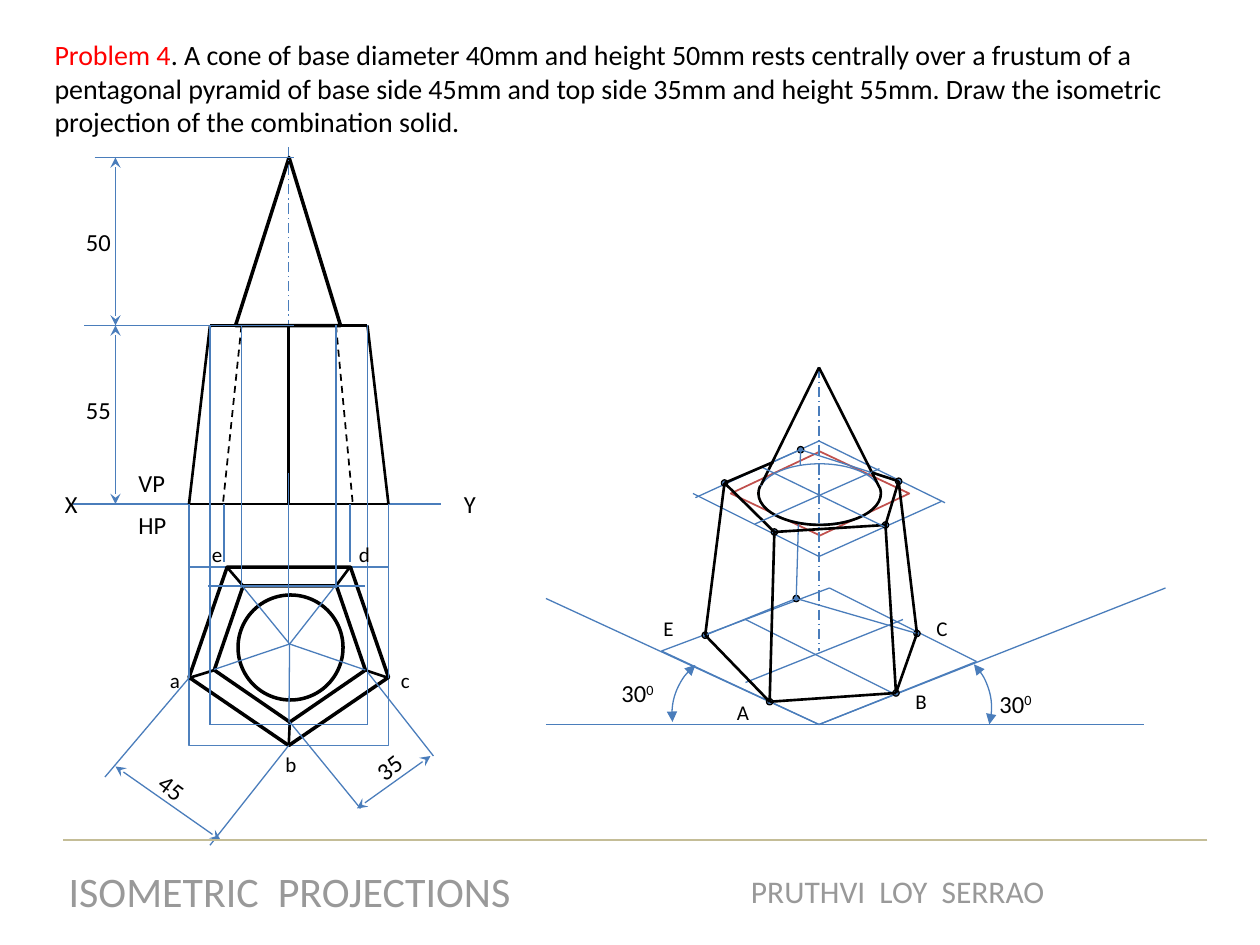
from lxml import etree
from pptx import Presentation
from pptx.dml.color import RGBColor
from pptx.enum.dml import MSO_LINE
from pptx.enum.shapes import MSO_CONNECTOR, MSO_SHAPE
from pptx.enum.text import MSO_ANCHOR, MSO_AUTO_SIZE, PP_ALIGN
from pptx.oxml.ns import qn
from pptx.util import Pt

BLACK = RGBColor(0x00, 0x00, 0x00)
WHITE = RGBColor(0xFF, 0xFF, 0xFF)
BLUE = RGBColor(0x4A, 0x7D, 0xBB)
DOT_BLUE = RGBColor(0x4F, 0x81, 0xBD)
RED = RGBColor(0xFF, 0x00, 0x00)
BRICK = RGBColor(0xC0, 0x50, 0x4D)
TAN = RGBColor(0xC4, 0xBD, 0x97)
GREY = RGBColor(0x99, 0x99, 0x99)

FONT = "Calibri"
CHAIN = MSO_LINE.LONG_DASH_DOT
DASH = MSO_LINE.DASH
STRAIGHT = MSO_CONNECTOR.STRAIGHT
ARC, DIAMOND, OVAL = MSO_SHAPE.ARC, MSO_SHAPE.DIAMOND, MSO_SHAPE.OVAL
CONE, RECT = MSO_SHAPE.ISOSCELES_TRIANGLE, MSO_SHAPE.RECTANGLE
PENTAGON = MSO_SHAPE.REGULAR_PENTAGON
LEFT, CENTER = PP_ALIGN.LEFT, PP_ALIGN.CENTER
TOP, NO_FIT = MSO_ANCHOR.TOP, MSO_AUTO_SIZE.NONE


def add_tips(item, kind):
    ln = item.line._get_or_add_ln()
    for end in ("a:headEnd", "a:tailEnd"):
        etree.SubElement(ln, qn(end), type=kind)


class Pen:
    """Draws in points, measured from the corner of a region."""

    def __init__(self, slide, x, y):
        self.shapes, self.x, self.y = slide.shapes, x, y

    def at(self, x, y):
        return Pt(self.x + x), Pt(self.y + y)

    def lines(self, *ends, color=BLUE, width=0.75, dash=None, tip=None):
        """Draw one line for each pair of points."""
        for start, stop in ends:
            item = self.shapes.add_connector(STRAIGHT, *self.at(*start), *self.at(*stop))
            item.line.color.rgb = color
            item.line.width = Pt(width)
            if dash:
                item.line.dash_style = dash
            if tip:
                add_tips(item, tip)
            etree.SubElement(item._element.spPr, qn("a:effectLst"))

    def edges(self, *ends):
        self.lines(*ends, color=BLACK, width=1.5)

    def shape(self, kind, x, y, w, h, color=BLACK, width=2, fill=WHITE, turn=0, adj=()):
        item = self.shapes.add_shape(kind, *self.at(x, y), Pt(w), Pt(h))
        item.shadow.inherit = False
        item.rotation = turn
        for i, value in enumerate(adj):
            item.adjustments[i] = value
        if fill is None:
            item.fill.background()
        else:
            item.fill.solid()
            item.fill.fore_color.rgb = fill
        item.line.color.rgb = color
        item.line.width = Pt(width)
        return item

    def text(self, text, x, y, w, h=24, size=14, color=BLACK, turn=0, align=LEFT):
        box = self.shapes.add_textbox(*self.at(x, y), Pt(w), Pt(h))
        box.rotation = turn
        box.text_frame.word_wrap = False
        para = box.text_frame.paragraphs[0]
        para.text = text
        para.alignment = align
        font = para.font
        font.name, font.size, font.color.rgb = FONT, Pt(size), color
        return para

    def names(self, spots):
        """Label the corners of a solid."""
        for name, (x, y) in spots.items():
            self.text(name, x, y, 20.5, 21.6, 12)


def set_title(slide, x, y, w, h):
    title = slide.shapes.title
    title.left, title.top, title.width, title.height = Pt(x), Pt(y), Pt(w), Pt(h)
    frame = title.text_frame
    frame.word_wrap, frame.auto_size = True, NO_FIT
    frame.vertical_anchor = TOP
    para = frame.paragraphs[0]
    para.alignment = LEFT
    para.font.name, para.font.size = FONT, Pt(16)
    for text, color in (
        ("Problem 4", RED),
        (". A cone of base diameter 40mm and height 50mm rests centrally over a "
         "frustum of a pentagonal pyramid of base side 45mm and top side 35mm and "
         "height 55mm. Draw the isometric projection of the combination solid.", BLACK),
    ):
        run = para.add_run()
        run.text = text
        run.font.color.rgb = color


def draw_front(slide, x, y, w, h):
    pen = Pen(slide, x, y)
    mid, ledge = w / 2, 96
    pen.shape(CONE, 26.6, 0, 60, ledge, adj=(0.51,))
    pen.lines(((mid, h), (mid, -6)), dash=CHAIN)
    pen.lines(((-66, h), (144, h)))
    pen.lines(((-42, ledge), (-42, h)), ((-42, 0), (-42, ledge)), tip="stealth")
    pen.edges(((0, h), (w, h)), ((12, ledge), (w - 12, ledge)),
              ((12, ledge), (0, h)), ((w - 12, ledge), (w, h)),
              ((mid, h), (mid, ledge)))
    pen.lines(((30, ledge), (19.4, h)), ((w - 30, ledge), (w - 20.4, h)),
              color=BLACK, width=1, dash=DASH)
    pen.lines(((60, ledge), (-60, ledge)), ((-54, 0), (60, 0)))
    for text, left, top, wide in (
        ("X", -78, 186, 21.6), ("Y", 150, 186, 21.6), ("VP", -36, 174, 30),
        ("HP", -36, 198, 31), ("55", -66, 132, 28.8), ("50", -66, 36, 28.8),
    ):
        pen.text(text, left, top, wide)


def draw_plan(slide, x, y, w, h):
    pen = Pen(slide, x, y)
    mid = w / 2
    hub = (57.5, 44)
    outer = e, d, c, b, a = (21.6, 0), (92, 0), (w, 63.4), (mid, h), (0, 63.4)
    inner = (31, 10.8), (84, 10.8), (100.8, 59), (57.6, 88.6), (14.4, 59)
    pen.shape(RECT, 0, 0, w, h, DOT_BLUE, 0.75)
    pen.shape(PENTAGON, 0, 0, w, h, turn=180)
    pen.shape(PENTAGON, 14.4, 10.8, 86.4, 77.8, turn=180)
    pen.shape(OVAL, 28, 16, 60, 60)
    pen.lines(*((hub, corner) for corner in outer))
    pen.edges(*zip(outer, inner))

    # Projectors up to the front view
    ground, ledge = -36, -138
    for across, low, high in (
        (0, 63.4, ground), (20, -3, ground), (92, -3, ground), (w, 63.4, ground),
        (12, 60, ledge), (102, 60, ledge), (30, 12, ledge), (84, 12, ledge),
        (mid, hub[1], -54), (12, 90, 12), (102, 90, 12),
    ):
        pen.lines(((across, low), (across, high)))
    pen.lines(((10.8, 10.8), (100.8, 10.8)), ((12, 90), (102, 90)))

    # Side lengths
    pen.lines((a, (-48, 120)), (b, (12, 159)), (inner[3], (98, 138)), ((102, 60), (139.7, 108)))
    pen.lines(((-42, 114), (18, 156)), ((96, 138), (138, 108)), tip="stealth")
    pen.text("45", -24, 114, 28.8, turn=36.6)
    pen.text("35", 100, 102, 28.8, turn=321.7)
    pen.names({"a": (-18, 54), "b": (48, 102), "c": (114, 54), "d": (90, -18), "e": (6, -18)})


def draw_solid(slide, x, y, w, h):
    """Draw the isometric view of the cone on the frustum."""
    pen = Pen(slide, x, y)
    mid = 156
    apex, foot = (mid, 0), (mid, h)
    base = a, b, c, d, e = (127.8, 191), (200, 186), (212, 152), (143, 132), (91, 153)
    lid = ta, tb, tc, td, te = (130.5, 94), (194, 90), (201.5, 65), (145.5, 47), (102, 66)

    pen.shape(DIAMOND, 105.6, 48, 102, 48, BRICK, 1)
    pen.lines(((0, h), (342, h)), (foot, (0, 132)), (foot, (w, 126)))

    # Base and top frames
    pen.lines(((66, 162), (162, 126)), ((162, 126), (246, 168)),
              (foot, (246, 168)), ((66, 162), foot),
              ((114, 144), (198, 186)), ((114, 180), (204, 144)),
              ((mid, 42), (228, 77.3)), ((mid, 42), (85.4, 74.4)),
              ((mid, 108), (84, 72)), ((225.8, 76.6), (mid, 108)))

    for across, down in base + lid:
        pen.shape(OVAL, across - 1.8, down - 1.8, 3.6, 3.6, BLACK, 0.75, DOT_BLUE)
    pen.lines((d, e), (d, c), (td, tc), (td, te), (d, td))
    pen.edges((e, a), (a, b), (b, c), (tc, tb), (tb, ta), (ta, te),
              (te, e), (ta, a), (tb, b), (tc, c))

    # Cone
    pen.shape(OVAL, 121.4, 55, 70, 34.6, DOT_BLUE, 0.75)
    pen.shape(ARC, 121.4, 54, 70, 36, width=1.5, fill=None, adj=(212.51, 112.52))
    pen.lines(((mid, 72), (mid, 162)), (apex, (mid, 78)), dash=CHAIN)
    pen.edges((apex, (190.6, 68.6)), (apex, (122.9, 67.2)))
    pen.lines(((119.3, 89.5), (190.6, 57.8)), ((193.4, 91), (123.6, 57.1)))
    pen.edges(((186.2, 60), tc), ((130, 54), te))

    for left, top, turn, adj in (
        (182.6, 158.6, 39, (166.31, 201.67)), (72, 162, 270, (157.67, 192.65)),
    ):
        add_tips(pen.shape(ARC, left, top, 72, 72, BLUE, 0.75, None, turn, adj), "triangle")
    for left, top in ((36, 174), (252, 180)):
        run = pen.text("30", left, top, 33.8).add_run()
        run.text = "0"
        run._r.get_or_add_rPr().set("baseline", "30000")
    pen.names({"A": (102, 186), "B": (204, 180), "C": (216, 138), "E": (60, 138)})


def draw_foot(slide, x, y, w):
    pen = Pen(slide, x, y)
    pen.lines(((w, 0), (0, 0)), color=TAN)
    pen.text("ISOMETRIC  PROJECTIONS", -5, 11, 269, 36, 24, GREY, align=CENTER)
    pen.text("PRUTHVI  LOY  SERRAO", 385, 15, 184, 29, 18, GREY, align=CENTER)


def main():
    deck = Presentation()
    deck.slide_width, deck.slide_height = Pt(720), Pt(540)
    slide = deck.slides.add_slide(deck.slide_layouts[5])
    set_title(slide, 24, 18, 666, 65.5)
    draw_front(slide, 108, 90, 114, 198)
    draw_plan(slide, 108, 324, 114, 102)
    draw_solid(slide, 312, 210, 354, 204)
    draw_foot(slide, 36, 480, 654)
    deck.save("out.pptx")


if __name__ == "__main__":
    main()
